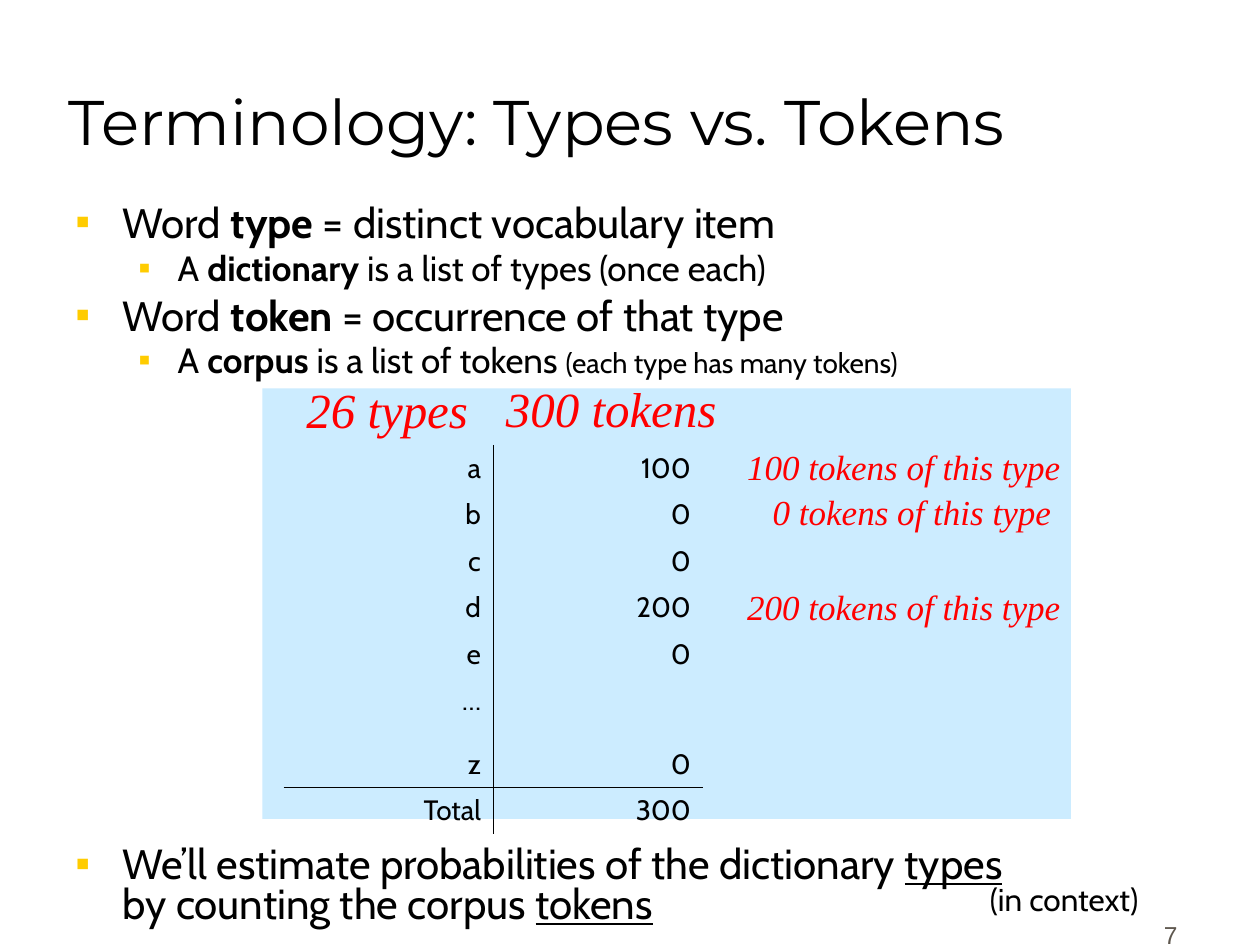
from dataclasses import dataclass
from pptx import Presentation
from pptx.dml.color import RGBColor as Rgb
from pptx.enum.shapes import MSO_SHAPE as Preset
from pptx.enum.text import MSO_ANCHOR as Anchor, MSO_AUTO_SIZE as AutoSize, PP_ALIGN as Align
from pptx.oxml.ns import qn
from pptx.util import Pt
from lxml.etree import SubElement


@dataclass(frozen=True)
class Theme:
    ink: str = "000000"
    accent: str = "FF0000"
    marker: str = "FFCC00"
    panel: str = "CCECFF"
    muted: str = "5E574E"
    heading_font: str = "Montserrat"
    body_font: str = "Cabin"
    note_font: str = "Times New Roman"
    number_font: str = "Arial"
    title: int = 36
    count: int = 28
    point: int = 24
    detail: int = 20
    context: int = 18
    small: int = 16
    number: int = 14
    rule: float = 0.45


def write(paragraph, text, font, size, color, bold=False, italic=False, underline=False):
    for index, line in enumerate(text.split("\n")):
        if index:
            paragraph.add_line_break()
        if line:
            run = paragraph.add_run()
            run.text = line
            run.font.name = font
            run.font.size = Pt(size)
            run.font.color.rgb = Rgb.from_string(color)
            run.font.bold = bold
            run.font.italic = italic
            run.font.underline = underline


class SlideBuilder:
    def __init__(self, slide, theme):
        self.slide = slide
        self.theme = theme

    def frame(self, left, top, width, height, wrap=True, anchor=Anchor.TOP):
        box = self.slide.shapes.add_textbox(Pt(left), Pt(top), Pt(width), Pt(height))
        frame = box.text_frame
        frame.word_wrap = wrap
        frame.auto_size = AutoSize.NONE if wrap else AutoSize.SHAPE_TO_FIT_TEXT
        frame.vertical_anchor = anchor
        return frame

    def label(self, text, left, top, width, height, align=Align.LEFT,
              wrap=False, anchor=Anchor.TOP, **style):
        paragraph = self.frame(left, top, width, height, wrap, anchor).paragraphs[0]
        paragraph.alignment = align
        write(paragraph, text, **style)

    def note(self, text, left, top, width, height, size):
        self.label(text, left, top, width, height, font=self.theme.note_font,
                   size=size, color=self.theme.accent, italic=True)

    def panel(self, left, top, width, height):
        panel = self.slide.shapes.add_shape(
            Preset.RECTANGLE, Pt(left), Pt(top), Pt(width), Pt(height))
        panel.shadow.inherit = False
        panel.fill.solid()
        panel.fill.fore_color.rgb = Rgb.from_string(self.theme.panel)
        panel.line.fill.background()

    def bullets(self, points, left, top, width, height):
        frame = self.frame(left, top, width, height)
        for index, (level, space, parts) in enumerate(points):
            paragraph = frame.add_paragraph() if index else frame.paragraphs[0]
            self.bullet(paragraph, level)
            paragraph.line_spacing = 0.8
            if space:
                paragraph.space_before = Pt(space)
            size = self.theme.detail if level else self.theme.point
            for text, changes in parts:
                style = dict(font=self.theme.body_font, size=size, color=self.theme.ink)
                write(paragraph, text, **(style | changes))

    def bullet(self, paragraph, level):
        margin, hang = [(27, 27), (58.5, 22.5)][level]
        paragraph.level = level
        props = paragraph._p.get_or_add_pPr()
        props.set("marL", str(Pt(margin)))
        props.set("indent", str(-Pt(hang)))
        SubElement(SubElement(props, qn("a:buClr")), qn("a:srgbClr"), val=self.theme.marker)
        SubElement(props, qn("a:buFont"), typeface=self.theme.number_font)
        SubElement(props, qn("a:buChar"), char="▪")

    def counts(self, rows, left, top, width, heights):
        table = self.slide.shapes.add_table(
            len(rows), 2, Pt(left), Pt(top), Pt(width), Pt(sum(heights))).table
        table.first_row = table.horz_banding = False
        for column in table.columns:
            column.width = Pt(width / 2)
        total = len(rows) - 1
        for r, values in enumerate(rows):
            table.rows[r].height = Pt(heights[r])
            for c, value in enumerate(values):
                cell = table.cell(r, c)
                paragraph = cell.text_frame.paragraphs[0]
                paragraph.alignment = Align.RIGHT
                write(paragraph, value, font=self.theme.body_font,
                      size=self.theme.small, color=self.theme.ink)
                self.borders(cell, L=c == 1, R=c == 0, T=r == total, B=r == total - 1)
                cell.fill.background()

    def borders(self, cell, **sides):
        props = cell._tc.get_or_add_tcPr()
        for side, drawn in sides.items():
            edge = SubElement(props, qn(f"a:ln{side}"), w=str(Pt(self.theme.rule)))
            if drawn:
                fill = SubElement(edge, qn("a:solidFill"))
                SubElement(fill, qn("a:srgbClr"), val=self.theme.ink)
            else:
                SubElement(edge, qn("a:noFill"))


def main():
    deck = Presentation()
    deck.slide_width, deck.slide_height = Pt(720), Pt(540)
    theme = Theme()
    page = SlideBuilder(deck.slides.add_slide(deck.slide_layouts[6]), theme)
    strong, underlined = dict(bold=True), dict(underline=True)

    page.bullets([
        (0, 0, [("Word ", {}), ("type", strong), (" = distinct vocabulary item", {})]),
        (1, 5, [("A ", {}), ("dictionary", strong),
                (" is a list of types (once each)", {})]),
        (0, 6, [("Word ", {}), ("token", strong), (" = occurrence of that type", {})]),
        (1, 4, [("A ", {}), ("corpus", strong), (" is a list of tokens ", {}),
                ("(each type has many tokens)", dict(size=theme.small))]),
        (0, 267, [("We’ll estimate probabilities of the dictionary ", {}),
                  ("types\n", underlined), ("by counting the corpus ", {}),
                  ("tokens", underlined)]),
    ], 36, 114.2, 684, 426)

    page.panel(150, 222, 462, 246)
    page.label("7", 530, 510, 150, 36, align=Align.RIGHT, wrap=True, anchor=Anchor.BOTTOM,
               font=theme.number_font, size=theme.number, color=theme.muted)
    page.label("Terminology: Types vs. Tokens", 32, 4, 646, 90, wrap=True,
               anchor=Anchor.BOTTOM, font=theme.heading_font, size=theme.title,
               color=theme.ink)

    row = 26.6
    rows = [("a", "100"), ("b", "0"), ("c", "0"), ("d", "200"), ("e", "0"),
            ("…", ""), ("z", "0"), ("Total", "300")]
    heights = [36.4 if letter == "…" else row for letter, _ in rows]
    page.counts(rows, 162, 254.2, 240, heights)

    page.note("26 types", 168, 213.2, 112, 41, theme.count)
    page.note("300 tokens", 282, 212.5, 135, 41, theme.count)
    for text, left, top, width in [
        ("100 tokens of this type", 419.8, 251.2, 194),
        ("200 tokens of this type", 419.8, 331.2, 194),
        ("0 tokens of this type", 434.5, 276.5, 175),
    ]:
        page.note(text, left, top, width, 31.5, theme.detail)
    page.label("(in context)", 558.5, 499.3, 109, 29, font=theme.body_font,
               size=theme.context, color=theme.ink)

    deck.save("out.pptx")


if __name__ == "__main__":
    main()
